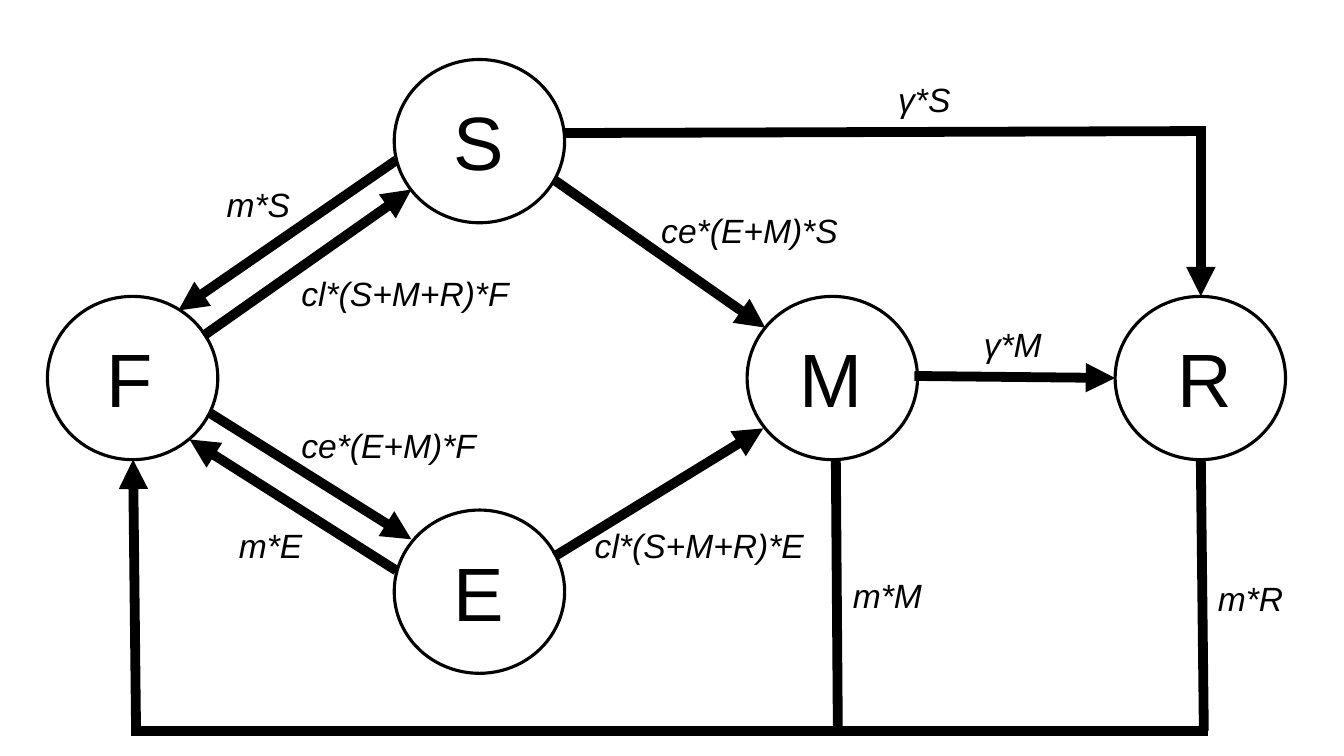
from dataclasses import dataclass

from lxml import etree
from pptx import Presentation
from pptx import util as u
from pptx.dml.color import RGBColor
from pptx.enum import shapes, text
from pptx.oxml import ns


@dataclass(frozen=True)
class Theme:
    ink: RGBColor = RGBColor(0, 0, 0)
    paper: RGBColor = RGBColor(255, 255, 255)
    font: str = "Arial"
    state_size: int = 54
    rate_size: int = 24
    outline: float = 2.25
    arrow: int = 7


class Diagram:
    def __init__(self, slide, theme):
        self.slide = slide
        self.theme = theme

    def label(self, wording, left, top, width, height, size, italic=False):
        box = self.slide.shapes.add_textbox(*map(u.Inches, (left, top, width, height)))
        frame = box.text_frame
        frame.word_wrap = True
        frame.auto_size = text.MSO_AUTO_SIZE.SHAPE_TO_FIT_TEXT
        run = frame.paragraphs[0].add_run()
        run.text = wording
        style = {"name": self.theme.font, "size": u.Pt(size), "italic": italic}
        for name, value in style.items():
            setattr(run.font, name, value)
        run.font.color.rgb = self.theme.ink

    def state(self, letter, left, top, indent):
        width, height, letter_height = 1.69, 1.62, 1.01
        circle = self.slide.shapes.add_shape(
            shapes.MSO_SHAPE.OVAL, *map(u.Inches, (left, top, width, height)))
        circle.shadow.inherit = False
        circle.fill.solid()
        circle.fill.fore_color.rgb = self.theme.paper
        circle.line.color.rgb = self.theme.ink
        circle.line.width = u.Pt(self.theme.outline)
        self.label(letter, left + indent, top + (height - letter_height) / 2,
                   0.84, letter_height, self.theme.state_size)

    def rate(self, wording, left, top, width):
        self.label(wording, left, top, width, 0.5, self.theme.rate_size, italic=True)

    def flow(self, start, end, arrow=True):
        connector = self.slide.shapes.add_connector(
            shapes.MSO_CONNECTOR.STRAIGHT, *map(u.Inches, (*start, *end)))
        connector.line.color.rgb = self.theme.ink
        connector.line.width = u.Pt(self.theme.arrow)
        if arrow:
            line = connector.line._get_or_add_ln()
            etree.SubElement(line, ns.qn("a:tailEnd"), type="triangle")
        properties = connector._element.spPr
        etree.SubElement(properties, ns.qn("a:effectLst"))


presentation = Presentation()
presentation.slide_width = u.Inches(13.33)
presentation.slide_height = u.Inches(7.5)
slide = presentation.slides.add_slide(presentation.slide_layouts[6])
diagram = Diagram(slide, Theme())

MIDDLE_ROW = 2.94
STATES = [
    ("F", 0.47, MIDDLE_ROW, 0.49),
    ("S", 3.91, 0.59, 0.49),
    ("E", 3.91, 5.06, 0.49),
    ("M", 7.41, MIDDLE_ROW, 0.42),
    ("R", 11.06, MIDDLE_ROW, 0.52),
]
ARROWS = [
    ((2.02, 3.33), (4.08, 1.88)),
    ((3.93, 1.59), (1.77, 3.08)),
    ((2.07, 4.09), (4.08, 5.35)),
    ((3.93, 5.66), (1.88, 4.36)),
    ((5.49, 1.78), (7.59, 3.25)),
    ((5.5, 5.52), (7.57, 4.25)),
    ((9.07, 3.73), (11.06, 3.75)),
    ((11.91, 1.3), (11.91, 2.94)),
    ((1.35, 7.3), (1.32, 4.56)),
]
PLAIN_LINES = [
    ((5.6, 1.32), (11.96, 1.3)),
    ((11.91, 4.56), (11.94, 7.25)),
    ((1.31, 7.25), (11.98, 7.25)),
    ((8.29, 4.56), (8.31, 7.24)),
]
LONG_RATES = [
    ("cl*(S+M+R)*F", 2.89, 2.66),
    ("ce*(E+M)*F", 2.89, 4.17),
    ("ce*(E+M)*S", 6.46, 2.03),
    ("cl*(S+M+R)*E", 5.8, 5.16),
]
SHORT_RATES = [
    ("γ*S", 8.81, 0.73),
    ("γ*M", 9.66, 3.16),
    ("m*S", 2.15, 1.78),
    ("m*E", 2.27, 5.16),
    ("m*M", 8.36, 5.65),
    ("m*R", 11.98, 5.68),
]

for state in STATES:
    diagram.state(*state)
for start, end in ARROWS:
    diagram.flow(start, end)
for start, end in PLAIN_LINES:
    diagram.flow(start, end, arrow=False)
for rates, width in ((LONG_RATES, 2.35), (SHORT_RATES, 1.04)):
    for rate in rates:
        diagram.rate(*rate, width)

presentation.save("out.pptx")
